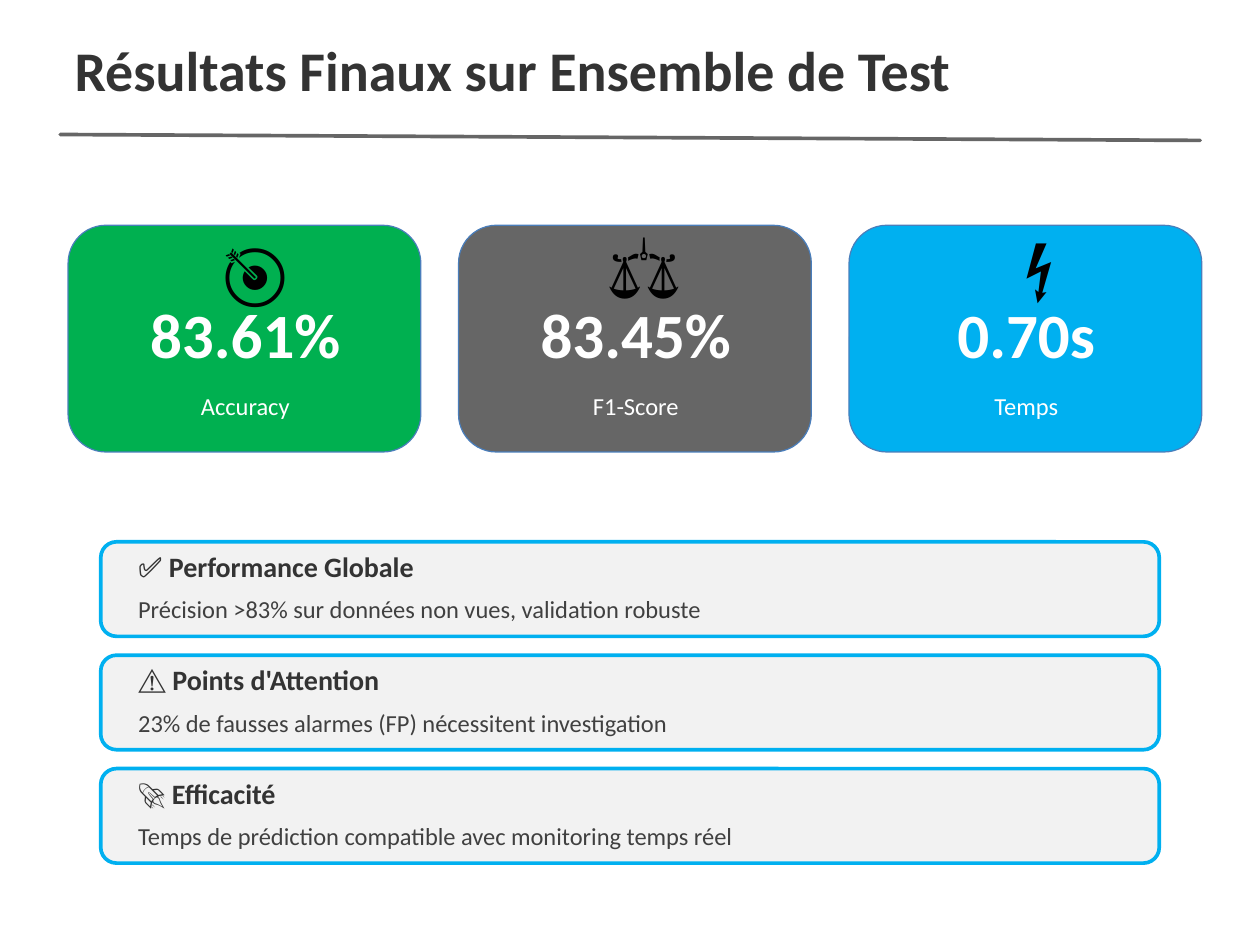
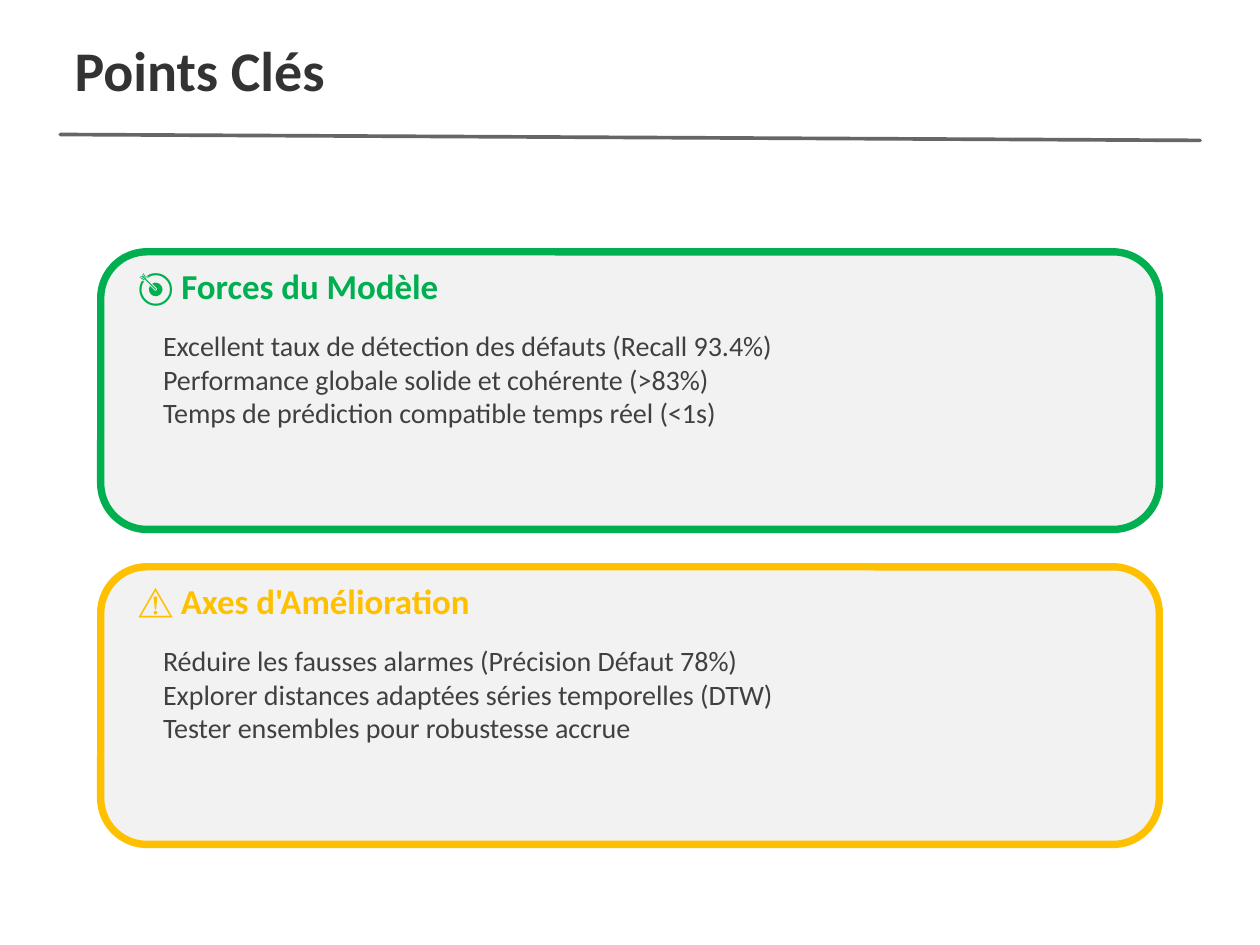
import pptx
import pptx.util
import pptx.dml.color
import pptx.enum.shapes
import pptx.enum.text
import pptx.oxml.ns
import lxml.etree

Pt = pptx.util.Pt
RGB = pptx.dml.color.RGBColor.from_string
ALIGN = pptx.enum.text.PP_ALIGN

FONT = "Calibri"
COLORS = {
    "title": "333333", "body": "404040", "gray": "666666", "panel": "F2F2F2",
    "green": "00B050", "blue": "00B0F0", "amber": "FFC000",
    "card_line": "4A7EBB", "white": "FFFFFF", "black": "000000",
}
PANEL_LEFT, PANEL_WIDTH = 61.4, 645.2
TEXT_LEFT, TEXT_WIDTH = 84.2, 600


def write(sp, box, lines, size, color, bold=False, align=ALIGN.LEFT):
    """Place a text shape at box and fill it with one paragraph per line."""
    sp.left, sp.top, sp.width, sp.height = (Pt(v) for v in box)
    tf = sp.text_frame
    tf.word_wrap = True
    tf.auto_size = pptx.enum.text.MSO_AUTO_SIZE.NONE
    tf.vertical_anchor = pptx.enum.text.MSO_ANCHOR.TOP
    tf.margin_left = tf.margin_top = tf.margin_right = tf.margin_bottom = 0
    tf.text = "\n".join(lines)
    for p in tf.paragraphs:
        p.alignment = align
        p.line_spacing = Pt(round(size * 1.2, 1))
        p.font.name = FONT
        p.font.size = Pt(size)
        p.font.bold = bold
        p.font.color.rgb = RGB(COLORS[color])


def add_panel(s, box, fill, line, line_width):
    sp = s.shapes.add_shape(pptx.enum.shapes.MSO_SHAPE.ROUNDED_RECTANGLE,
                            *(Pt(v) for v in box))
    sp.shadow.inherit = False
    sp.fill.solid()
    sp.fill.fore_color.rgb = RGB(COLORS[fill])
    sp.line.color.rgb = RGB(COLORS[line])
    sp.line.width = Pt(line_width)


prs = pptx.Presentation()
prs.slide_width, prs.slide_height = Pt(768), Pt(576)

# Title and rule shared by both slides
slides = []
for title in ("Résultats Finaux sur Ensemble de Test", "Points Clés"):
    s = prs.slides.add_slide(prs.slide_layouts[5])
    write(s.shapes.title, (45.4, 21.6, 676.8, 59.8), [title], 34.1, "title", True)
    rule = s.shapes.add_connector(pptx.enum.shapes.MSO_CONNECTOR.STRAIGHT,
                                  Pt(36.7), Pt(82), Pt(731.5), Pt(85.6))
    rule.line.color.rgb = RGB(COLORS["gray"])
    rule.line.width = Pt(2.25)
    rule.line._get_or_add_ln().set("cap", "rnd")
    lxml.etree.SubElement(rule._element.spPr, pptx.oxml.ns.qn("a:effectLst"))
    slides.append(s)
results, key_points = slides

# Slide 1: metric cards
cards = [
    ("🎯", 14, 141.8, "83.61%", "Accuracy", "green"),
    ("⚖️", 12.8, 136.1, "83.45%", "F1-Score", "gray"),
    ("⚡", 15.3, 139, "0.70s", "Temps", "blue"),
]
for i, (icon, icon_dx, icon_top, value, label, color) in enumerate(cards):
    left = 41.5 + 238 * i
    add_panel(results, (left, 137.3, 215, 138.2), color, "card_line", 0.75)
    for text, dx, top, height, size, ink, bold in (
        (icon, icon_dx, icon_top, 38.2, 38.4, "black", False),
        (value, 7.5, 180, 53.3, 38.4, "white", True),
        (label, 7.5, 238.3, 25.9, 14.9, "white", False),
    ):
        write(results.shapes.add_textbox(0, 0, 0, 0), (left + dx, top, 201, height),
              [text], size, ink, bold, ALIGN.CENTER)

# Slide 1: findings
findings = [
    ("✅ Performance Globale", "Précision >83% sur données non vues, validation robuste"),
    ("⚠️ Points d'Attention", "23% de fausses alarmes (FP) nécessitent investigation"),
    ("🚀 Efficacité", "Temps de prédiction compatible avec monitoring temps réel"),
]
for i, (heading, detail) in enumerate(findings):
    top = 330.3 + 69.1 * i
    add_panel(results, (PANEL_LEFT, top, PANEL_WIDTH, 57.6), "panel", "blue", 2.25)
    write(results.shapes.add_textbox(0, 0, 0, 0), (TEXT_LEFT, top + 4.6, TEXT_WIDTH, 23),
          [heading], 17.1, "title", True)
    write(results.shapes.add_textbox(0, 0, 0, 0), (TEXT_LEFT, top + 32, TEXT_WIDTH, 18),
          [detail], 14.9, "body")

# Slide 2: strengths and improvements
panels = [
    ("🎯 Forces du Modèle", "green", [
        "Excellent taux de détection des défauts (Recall 93.4%)",
        "Performance globale solide et cohérente (>83%)",
        "Temps de prédiction compatible temps réel (<1s)",
    ]),
    ("⚠️ Axes d'Amélioration", "amber", [
        "Réduire les fausses alarmes (Précision Défaut 78%)",
        "Explorer distances adaptées séries temporelles (DTW)",
        "Tester ensembles pour robustesse accrue",
    ]),
]
for i, (heading, color, points) in enumerate(panels):
    top = 153.5 + 192 * i
    add_panel(key_points, (PANEL_LEFT, top, PANEL_WIDTH, 169.2), "panel", color, 4.5)
    write(key_points.shapes.add_textbox(0, 0, 0, 0), (TEXT_LEFT, top + 7.6, TEXT_WIDTH, 27.4),
          [heading], 21.3, color, True)
    write(key_points.shapes.add_textbox(0, 0, 0, 0), (99.4, top + 46.8, 584.6, 103.7),
          points, 17.1, "body")

prs.save("out.pptx")
